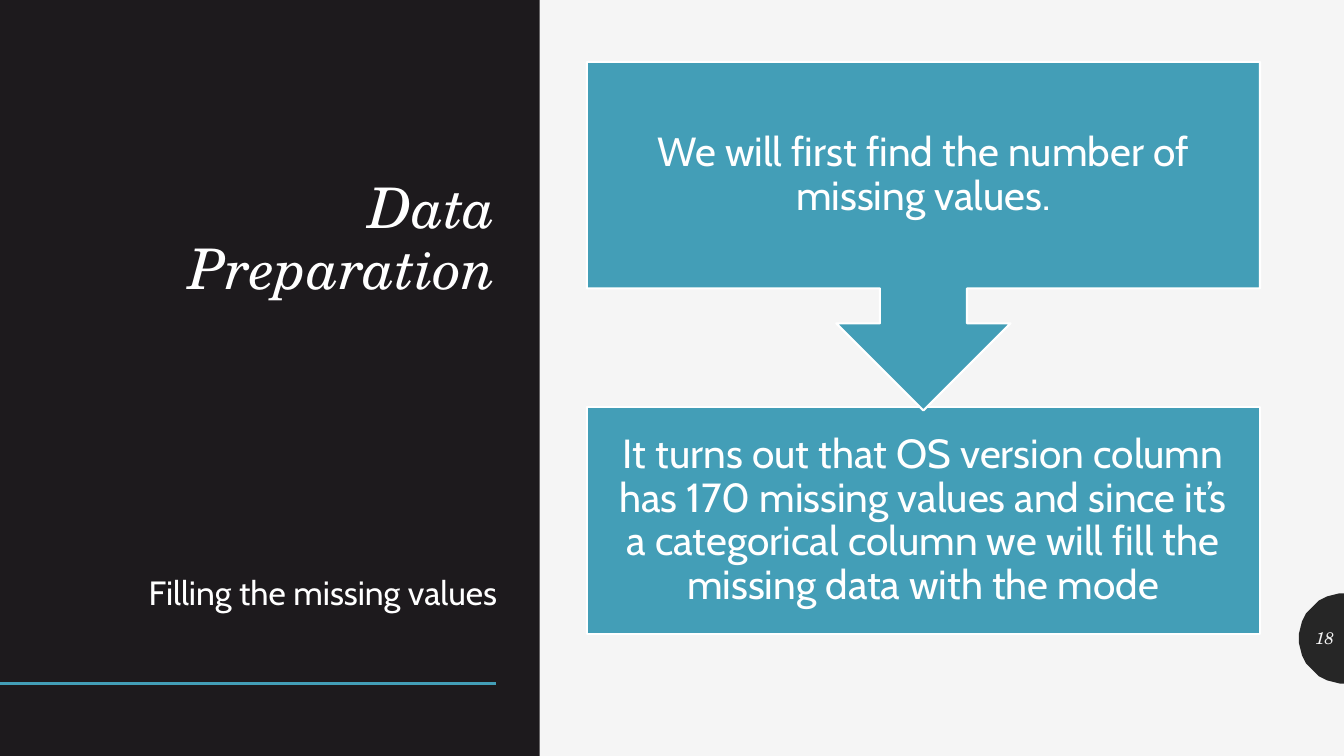
from dataclasses import dataclass
from math import cos, pi, sin

from pptx import Presentation
from pptx.dml.color import RGBColor
from pptx.enum.shapes import MSO_CONNECTOR, MSO_SHAPE
from pptx.enum.text import MSO_ANCHOR as Anchor, MSO_AUTO_SIZE, PP_ALIGN as Align
from pptx.oxml.ns import qn
from pptx.util import Pt
from lxml.etree import SubElement

PX = 9525  # EMU per px, 96 px to the inch


@dataclass(frozen=True)
class Theme:
    background: RGBColor = RGBColor.from_string("F5F5F5")
    panel: RGBColor = RGBColor.from_string("1D1A1D")
    badge: RGBColor = RGBColor.from_string("262626")
    accent: RGBColor = RGBColor.from_string("439EB7")
    white: RGBColor = RGBColor.from_string("FFFFFF")
    heading_font: str = "TeX Gyre Schola"
    body_font: str = "Cabin"
    title_size: int = 40
    step_size: int = 29
    subtitle_size: int = 24
    number_size: int = 12


theme = Theme()


def px(*lengths):
    return [length * PX for length in lengths]


def write(shape, text, size, align, anchor, spacing=1.0, heading=False, color=theme.white):
    frame = shape.text_frame
    frame.text = text
    frame.word_wrap = True
    frame.auto_size = MSO_AUTO_SIZE.NONE
    frame.vertical_anchor = anchor
    paragraph = frame.paragraphs[0]
    paragraph.alignment = align
    paragraph.line_spacing = spacing
    font = paragraph.runs[0].font
    font.name = theme.heading_font if heading else theme.body_font
    font.size = Pt(size)
    font.italic = heading
    font.color.rgb = color


presentation = Presentation()
presentation.slide_width, presentation.slide_height = px(1280, 720)
slide = presentation.slides.add_slide(presentation.slide_layouts[5])
slide.background.fill.solid()
slide.background.fill.fore_color.rgb = theme.background
shapes = slide.shapes

# Half-round badge on the right edge
center_x, center_y, radius, steps = 1280, 608, 43, 32
arc = [
    (center_x - radius * sin(pi * step / steps), center_y - radius * cos(pi * step / steps))
    for step in range(steps + 1)
]
builder = shapes.build_freeform(*arc[0], scale=PX)
builder.add_line_segments(arc[1:], close=True)
badge = builder.convert_to_shape()
badge.shadow.inherit = False
badge.fill.solid()
badge.fill.fore_color.rgb = theme.badge
badge.line.fill.background()

# Dark panel with its accent rule
panel = shapes.add_shape(MSO_SHAPE.RECTANGLE, *px(0, 0, 514, 720))
panel.shadow.inherit = False
panel.fill.solid()
panel.fill.fore_color.rgb = theme.panel
panel.line.fill.background()

rule = shapes.add_connector(MSO_CONNECTOR.STRAIGHT, *px(0, 651, 472, 651))
rule.line.color.rgb = theme.accent
rule.line.width = Pt(2)
SubElement(rule.element.spPr, qn("a:effectLst"))

# Title, brought in front of the panel
title = shapes.title
title.left, title.top, title.width, title.height = px(80, 59, 402, 233)
write(title, "Data Preparation", theme.title_size, Align.RIGHT, Anchor.BOTTOM, 0.9, heading=True)
panel.element.getparent().append(title.element)

page_number = shapes.add_textbox(*px(1237, 588, 43, 38))
write(page_number, "18", theme.number_size, Align.RIGHT, Anchor.MIDDLE,
      heading=True, color=theme.background)

subtitle = shapes.add_textbox(*px(61, 535, 422, 69))
write(subtitle, "Filling the missing values", theme.subtitle_size, Align.RIGHT, Anchor.TOP, 1.12)

# Two steps, the first pointing down to the second
process = [
    (MSO_SHAPE.RECTANGLE, 388, 216,
     "It turns out that OS version column has 170 missing values and since it’s "
     "a categorical column we will fill the missing data with the mode"),
    (MSO_SHAPE.DOWN_ARROW_CALLOUT, 59, 332,
     "We will first find the number of missing values."),
]
for kind, top, height, text in process:
    step_box = shapes.add_shape(kind, *px(559, top, 641, height))
    step_box.shadow.inherit = False
    step_box.fill.solid()
    step_box.fill.fore_color.rgb = theme.accent
    step_box.line.color.rgb = theme.white
    step_box.line.width = Pt(1.5)
    frame = step_box.text_frame
    frame.margin_left = frame.margin_right = frame.margin_top = frame.margin_bottom = 22 * PX
    write(step_box, text, theme.step_size, Align.CENTER, Anchor.MIDDLE, 0.9)

presentation.save("out.pptx")
